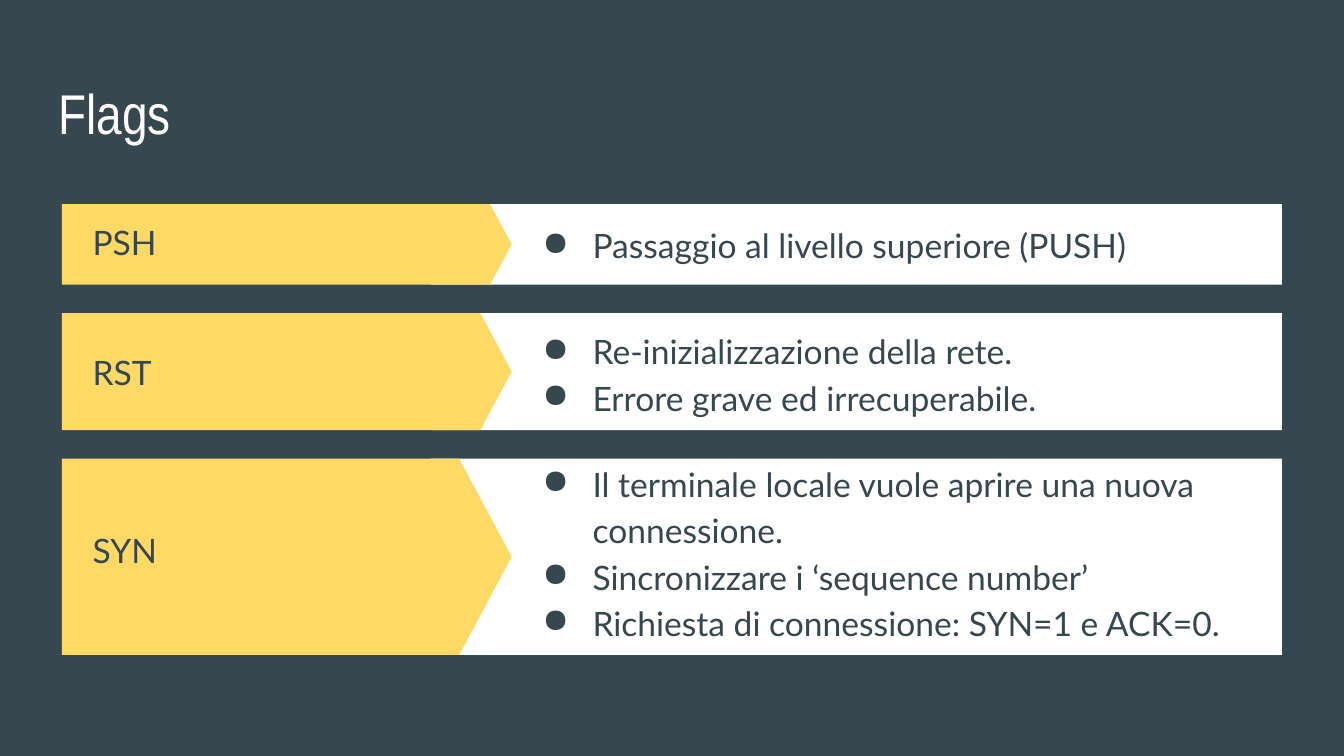
from lxml import etree
from pptx import Presentation
from pptx.dml.color import RGBColor
from pptx.enum.shapes import MSO_SHAPE
from pptx.enum.text import MSO_ANCHOR, PP_ALIGN
from pptx.oxml.ns import qn
from pptx.util import Cm, Pt

RECTANGLE, PENTAGON = MSO_SHAPE.RECTANGLE, MSO_SHAPE.PENTAGON
TOP, MIDDLE = MSO_ANCHOR.TOP, MSO_ANCHOR.MIDDLE
LEFT = PP_ALIGN.LEFT

SLATE, YELLOW, WHITE = "37474F", "FFD966", "FFFFFF"

TITLE = "Flags"
# flag, bar height, vertical shift of the text from the bar's middle, meanings
FLAGS = [
    ("PSH", 1.52, -0.04, ["Passaggio al livello superiore (PUSH)"]),
    ("RST", 2.21, 0, ["Re-inizializzazione della rete.",
                      "Errore grave ed irrecuperabile."]),
    ("SYN", 3.71, -0.12, ["Il terminale locale vuole aprire una nuova connessione.",
                          "Sincronizzare i ‘sequence number’",
                          "Richiesta di connessione: SYN=1 e ACK=0."]),
]

FIRST_TOP, GAP = 3.86, 0.54
ARROW_LEFT, ARROW_WIDTH = 1.17, 8.5
PANEL_LEFT, PANEL_WIDTH = 8.15, 16.08
LABEL_LEFT, LABEL_WIDTH = 1.5, 6.73
MEANING_LEFT, MEANING_WIDTH = 9.68, 14.2
TEXT_HEIGHT = 2.21
INSET = 0.25


def rgb(color):
    return RGBColor.from_string(color)


def add_bar(group, preset, left, top, width, height, color):
    bar = group.shapes.add_shape(preset, Cm(left), Cm(top), Cm(width), Cm(height))
    bar.shadow.inherit = False
    bar.fill.solid()
    bar.fill.fore_color.rgb = rgb(color)
    bar.line.fill.background()
    return bar


def add_bullet(paragraph):
    paragraph.line_spacing = 1.15
    properties = paragraph._p.get_or_add_pPr()
    properties.set("marL", str(Cm(1.27)))
    properties.set("indent", str(Cm(-0.95)))
    bullet_color = etree.SubElement(properties, qn("a:buClr"))
    etree.SubElement(bullet_color, qn("a:srgbClr"), val=SLATE)
    etree.SubElement(properties, qn("a:buChar"), char="●")


def add_text(slide, lines, left, top, width, height, font="Lato", size=18,
             color=SLATE, anchor=MIDDLE, bulleted=False):
    frame = slide.shapes.add_textbox(Cm(left), Cm(top), Cm(width), Cm(height)).text_frame
    frame.word_wrap = True
    frame.vertical_anchor = anchor
    frame.margin_left = frame.margin_right = Cm(INSET)
    frame.margin_top = frame.margin_bottom = Cm(INSET)
    for index, line in enumerate(lines):
        paragraph = frame.add_paragraph() if index else frame.paragraphs[0]
        paragraph.alignment = LEFT
        if bulleted:
            add_bullet(paragraph)
        run = paragraph.add_run()
        run.text = line
        run.font.name = font
        run.font.size = Pt(size)
        run.font.color.rgb = rgb(color)


def add_flag(slide, flag, top, height, shift, meanings):
    group = slide.shapes.add_group_shape()
    add_bar(group, RECTANGLE, PANEL_LEFT, top, PANEL_WIDTH, height, WHITE)
    arrow = add_bar(group, PENTAGON, ARROW_LEFT, top, ARROW_WIDTH, height, YELLOW)
    arrow.adjustments[0] = 0.267

    text_top = top + (height - TEXT_HEIGHT) / 2 + shift
    add_text(slide, [flag], LABEL_LEFT, text_top, LABEL_WIDTH, TEXT_HEIGHT)
    add_text(slide, meanings, MEANING_LEFT, text_top, MEANING_WIDTH, TEXT_HEIGHT,
             bulleted=True)


def main():
    deck = Presentation()
    deck.slide_width, deck.slide_height = Cm(25.4), Cm(14.29)
    slide = deck.slides.add_slide(deck.slide_layouts[6])
    slide.background.fill.solid()
    slide.background.fill.fore_color.rgb = rgb(SLATE)

    add_text(slide, [TITLE], 0.86, 1.24, 23.67, 1.6, font="Arial Narrow", size=30,
             color=WHITE, anchor=TOP)
    top = FIRST_TOP
    for flag, height, shift, meanings in FLAGS:
        add_flag(slide, flag, top, height, shift, meanings)
        top += height + GAP
    deck.save("out.pptx")


if __name__ == "__main__":
    main()
